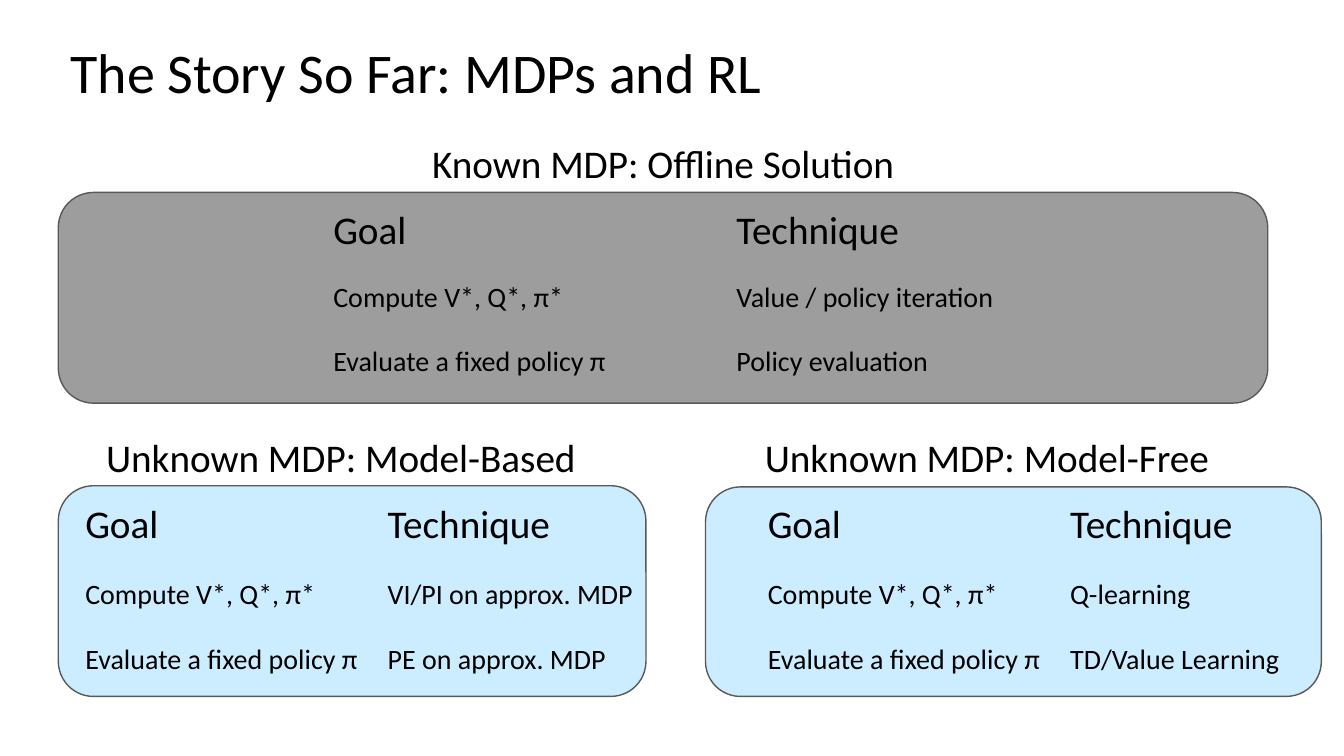
import pptx
import pptx.dml.color
import pptx.enum.shapes
import pptx.enum.text
import pptx.oxml.ns
import pptx.util
from lxml import etree
from pptx.util import Cm

COLOURS = {"text": "000000", "known": "9D9D9D", "unknown": "CCECFF", "outline": "595959"}
FONT = "Calibri"
ALIGN = pptx.enum.text.PP_ALIGN
ANCHOR = pptx.enum.text.MSO_ANCHOR
COLUMNS = ("Goal", "Technique")
GOALS = ("Compute V*, Q*, π*", "Evaluate a fixed policy π")

# Boxes are left, top, width, height in cm; gaps are points above each goal.
SETTINGS = [
    {
        "heading": "Known MDP: Offline Solution", "fill": "known",
        "techniques": ("Value / policy iteration", "Policy evaluation"),
        "heading_box": (1.47, 3.38, 30.48, 1.45),
        "panel_box": (1.47, 4.85, 30.48, 5.31),
        "rows_box": (8.15, 5.05, 22.71, 6.32),
        "technique_tab": 10.16, "gaps": (19.5, 21.5),
    },
    {
        "heading": "Unknown MDP: Model-Based", "fill": "unknown",
        "techniques": ("VI/PI on approx. MDP", "PE on approx. MDP"),
        "heading_box": (1.07, 10.8, 15.04, 1.45),
        "panel_box": (1.47, 12.24, 14.81, 5.31),
        "rows_box": (1.9, 12.45, 15.04, 6.4),
        "technique_tab": 7.62, "gaps": (22, 22),
    },
    {
        "heading": "Unknown MDP: Model-Free", "fill": "unknown",
        "techniques": ("Q-learning", "TD/Value Learning"),
        "heading_box": (17.35, 10.8, 15.04, 1.45),
        "panel_box": (17.78, 12.27, 15.52, 5.28),
        "rows_box": (19.1, 12.45, 14.17, 6.4),
        "technique_tab": 7.62, "gaps": (22, 22),
    },
]


def rgb(name):
    return pptx.dml.color.RGBColor.from_string(COLOURS[name])


def lengths(box):
    return [Cm(value) for value in box]


def set_all(target, values):
    for name, value in values.items():
        setattr(target, name, value)


def write(paragraph, text, size, **layout):
    """Fill a paragraph with one run and apply its paragraph settings."""
    set_all(paragraph, layout)
    run = paragraph.add_run()
    run.text = text
    set_all(run.font, {"name": FONT, "size": pptx.util.Pt(size)})
    run.font.color.rgb = rgb("text")


def add_tab_stop(paragraph, position):
    properties = paragraph._p.get_or_add_pPr()
    tabs = etree.SubElement(properties, pptx.oxml.ns.qn("a:tabLst"))
    etree.SubElement(tabs, pptx.oxml.ns.qn("a:tab"), pos=str(Cm(position)), algn="l")


def add_title(slide, text):
    title = slide.shapes.title
    set_all(title, dict(zip(("left", "top", "width", "height"),
                            lengths((1.52, 1.02, 29.21, 1.75)))))
    set_all(title.text_frame, {"vertical_anchor": ANCHOR.MIDDLE, "word_wrap": True})
    write(title.text_frame.paragraphs[0], text, 40, alignment=ALIGN.LEFT, line_spacing=0.9)


def add_text_frame(slide, box):
    frame = slide.shapes.add_textbox(*lengths(box)).text_frame
    set_all(frame, {"word_wrap": True, "vertical_anchor": ANCHOR.TOP})
    return frame


def add_heading(slide, text, box):
    write(add_text_frame(slide, box).paragraphs[0], text, 28, alignment=ALIGN.CENTER)


def add_panel(slide, box, fill):
    panel = slide.shapes.add_shape(
        pptx.enum.shapes.MSO_SHAPE.ROUNDED_RECTANGLE, *lengths(box))
    panel.shadow.inherit = False
    panel.fill.solid()
    panel.fill.fore_color.rgb = rgb(fill)
    panel.line.color.rgb = rgb("outline")
    panel.line.width = pptx.util.Pt(1)


def add_rows(slide, box, techniques, technique_tab, gaps):
    """Set goals and techniques in two columns held by a tab stop."""
    frame = add_text_frame(slide, box)
    header = frame.paragraphs[0]
    add_tab_stop(header, technique_tab)
    write(header, "\t".join(COLUMNS), 28)
    for goal, technique, gap in zip(GOALS, techniques, gaps):
        row = frame.add_paragraph()
        add_tab_stop(row, technique_tab)
        write(row, f"{goal}\t{technique}", 20, space_before=pptx.util.Pt(gap))


def main():
    deck = pptx.Presentation()
    set_all(deck, {"slide_width": Cm(33.87), "slide_height": Cm(19.05)})
    slide = deck.slides.add_slide(deck.slide_layouts.get_by_name("Title Only"))
    add_title(slide, "The Story So Far: MDPs and RL")
    for setting in SETTINGS:
        add_heading(slide, setting["heading"], setting["heading_box"])
        add_panel(slide, setting["panel_box"], setting["fill"])
        add_rows(slide, setting["rows_box"], setting["techniques"],
                 setting["technique_tab"], setting["gaps"])
    deck.save("out.pptx")


if __name__ == "__main__":
    main()
